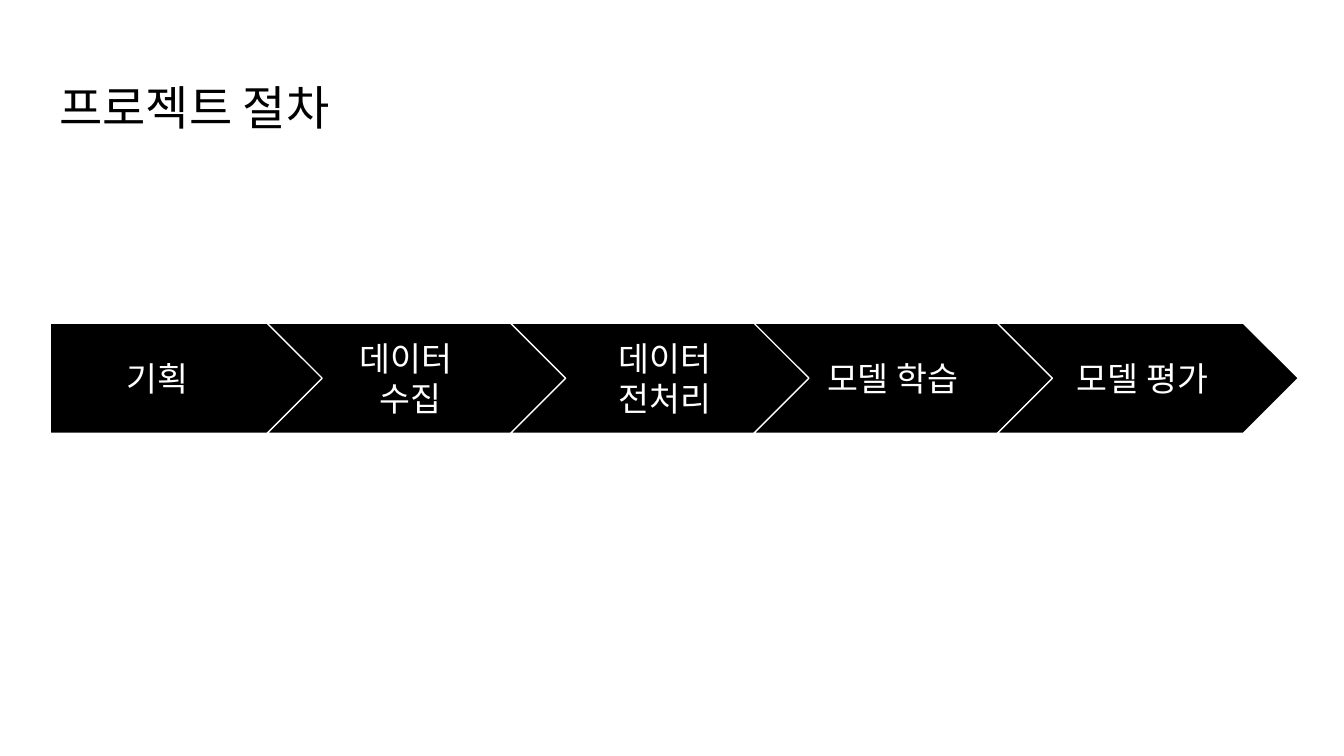
from pptx import Presentation
from pptx.dml.color import RGBColor
from pptx.enum.shapes import MSO_SHAPE as Shape
from pptx.enum.text import MSO_ANCHOR as Anchor, MSO_AUTO_SIZE as AutoSize, PP_ALIGN as Align
from pptx.util import Cm, Pt

FONT = "Noto Sans CJK KR"
BLACK, WHITE = "000000", "FFFFFF"

# Lines of each step, and how far its label starts from the arrow's left edge (cm)
STEPS = [
    (["기획"], 0),
    (["데이터 ", "수집"], 0.87),
    (["데이터 전처리"], 1.09),
    (["모델 학습"], 0.79),
    (["모델 평가"], 0.91),
]


def rgb(color):
    return RGBColor.from_string(color)


def write(frame, lines, size, color, align, anchor):
    """Fill a text frame with one paragraph whose lines are split by breaks."""
    frame.word_wrap = True
    frame.auto_size = AutoSize.NONE
    frame.vertical_anchor = anchor
    frame.margin_left = frame.margin_right = Cm(0.25)
    frame.margin_top = frame.margin_bottom = Cm(0.25)
    paragraph = frame.paragraphs[0]
    paragraph.alignment = align
    for number, line in enumerate(lines):
        if number:
            paragraph.add_line_break()
        run = paragraph.add_run()
        run.text = line
        run.font.name = FONT
        run.font.size = Pt(size)
        run.font.color.rgb = rgb(color)


def add_title(slide, left, top, width, height):
    title = slide.shapes.title
    title.left, title.top, title.width, title.height = map(Cm, (left, top, width, height))
    write(title.text_frame, ["프로젝트 절차"], 25.2, BLACK, Align.LEFT, Anchor.TOP)


def add_arrow(slide, preset, left, top, width, height):
    arrow = slide.shapes.add_shape(preset, Cm(left), Cm(top), Cm(width), Cm(height))
    arrow.adjustments[0] = 0.5
    arrow.shadow.inherit = False
    arrow.fill.solid()
    arrow.fill.fore_color.rgb = rgb(BLACK)
    arrow.line.color.rgb = rgb(WHITE)
    arrow.line.width = Pt(0.75)


def add_process(slide, left, top, width, height):
    """Draw a pentagon and then chevrons, each tip resting in the next notch."""
    pitch, chevron_width, label_height = 4.6, 5.69, 1.3
    first_chevron = left + width - chevron_width - pitch * (len(STEPS) - 2)
    for index, (lines, label_offset) in enumerate(STEPS):
        if index == 0:
            arrow_left, label_width = left, 4.04
            add_arrow(slide, Shape.PENTAGON, left, top, 5.21, height)
        else:
            arrow_left, label_width = first_chevron + pitch * (index - 1), 3.66
            add_arrow(slide, Shape.CHEVRON, arrow_left, top, chevron_width, height)
        label = slide.shapes.add_textbox(
            Cm(arrow_left + label_offset), Cm(top + (height - label_height) / 2),
            Cm(label_width), Cm(label_height))
        write(label.text_frame, lines, 18, WHITE, Align.CENTER, Anchor.MIDDLE)


def main():
    deck = Presentation()
    deck.slide_width, deck.slide_height = Cm(25.4), Cm(14.29)
    slide = deck.slides.add_slide(deck.slide_layouts[5])
    add_title(slide, 0.87, 1.24, 23.67, 1.6)
    add_process(slide, 0.95, 6.11, 23.59, 2.08)
    deck.save("out.pptx")


if __name__ == "__main__":
    main()
